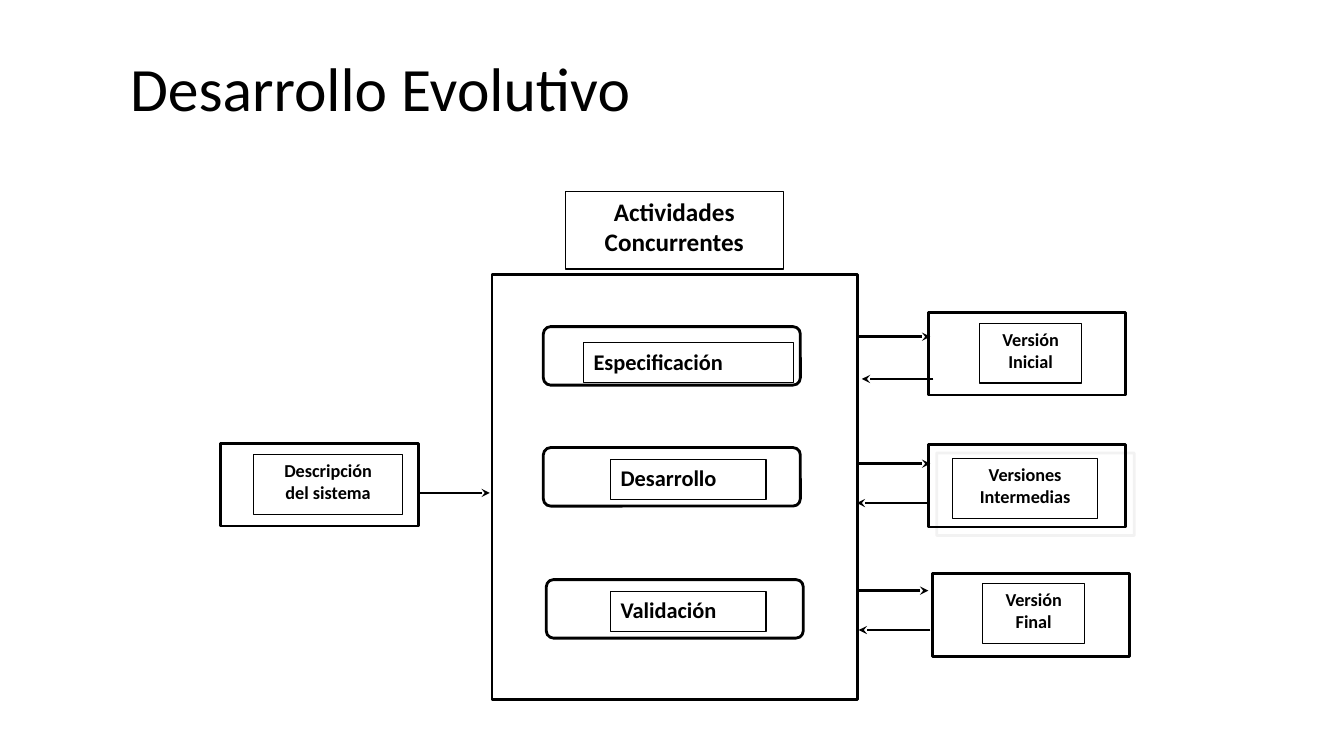
from dataclasses import dataclass

from lxml import etree
from pptx import Presentation
from pptx.dml.color import RGBColor
from pptx.enum.shapes import MSO_CONNECTOR, MSO_SHAPE
from pptx.enum.text import MSO_ANCHOR, MSO_AUTO_SIZE, PP_ALIGN
from pptx.oxml.ns import qn
from pptx.util import Pt

RECT, ROUNDED = MSO_SHAPE.RECTANGLE, MSO_SHAPE.ROUNDED_RECTANGLE
STRAIGHT = MSO_CONNECTOR.STRAIGHT
LEFT, CENTER = PP_ALIGN.LEFT, PP_ALIGN.CENTER
TOP, MIDDLE = MSO_ANCHOR.TOP, MSO_ANCHOR.MIDDLE
NO_FIT, GROW = MSO_AUTO_SIZE.NONE, MSO_AUTO_SIZE.SHAPE_TO_FIT_TEXT


@dataclass(frozen=True)
class Theme:
    font: str = "Calibri"
    ink: RGBColor = RGBColor(0, 0, 0)
    shadow: str = "E7E6E6"
    title: float = 44
    heading: float = 18
    activity: float = 16
    version: float = 13
    thin: float = 0.75
    thick: float = 2


@dataclass(frozen=True)
class Frame:
    left: float
    top: float
    width: float = 141.1
    height: float = 59
    shape: int = RECT
    shadow: bool = False


@dataclass(frozen=True)
class Label:
    lines: tuple[str, ...]
    left: float
    top: float
    width: float
    height: float
    size: float
    align: int = CENTER


@dataclass(frozen=True)
class Arrow:
    left: float
    y: float
    backward: bool = False
    length: float = 51.1


THEME = Theme()

# Boxes: system description, versions, activities and their container
ACTIVITY_SIZE = (183.6, 41.8, ROUNDED)
FRAMES = [
    Frame(157.7, 316.8),
    Frame(663.1, 223.2),
    Frame(663.1, 317.5, shadow=True),
    Frame(666, 409.7),
    Frame(351.4, 195.8, 261.4, 303.8),
    Frame(388.1, 233.3, *ACTIVITY_SIZE),
    Frame(388.1, 319.7, *ACTIVITY_SIZE),
    Frame(390.2, 414, *ACTIVITY_SIZE),
]
LABELS = [
    Label(("Descripción", "del sistema"), 181.4, 324.7, 105.9, 42.5, THEME.version),
    Label(("Versión", "Inicial"), 699.8, 231.1, 72.7, 42.5, THEME.version),
    Label(("Versiones", "Intermedias"), 680.4, 327.6, 103.7, 42.5, THEME.version),
    Label(("Versión", "Final"), 702, 416.9, 72.7, 42.5, THEME.version),
    Label(("Especificación",), 416.9, 244.8, 149.8, 28.8, THEME.activity, LEFT),
    Label(("Desarrollo",), 436.3, 328.3, 110.9, 28.8, THEME.activity, LEFT),
    Label(("Validación",), 436.3, 422.6, 110.9, 28.8, THEME.activity, LEFT),
    Label(("Actividades", "Concurrentes"), 403.9, 136.8, 155.5, 55.4, THEME.heading),
]
ARROWS = [
    Arrow(298.8, 352.1),
    Arrow(613.4, 240.5),
    Arrow(613.4, 331.2),
    Arrow(612, 421.9),
    Arrow(615.6, 270.7, backward=True),
    Arrow(612, 359.3, backward=True),
    Arrow(613.4, 450, backward=True),
]


def apply_format(target, values: dict) -> None:
    for attribute, value in values.items():
        setattr(target, attribute, value)


def write_lines(text_frame, lines: tuple[str, ...], size: float, align: int, bold: bool) -> None:
    text_frame.text = "\n".join(lines)
    for paragraph in text_frame.paragraphs:
        paragraph.alignment = align
        apply_format(paragraph.font, {"name": THEME.font, "size": Pt(size), "bold": bold})
        paragraph.font.color.rgb = THEME.ink


def draw_outline(slide, box: Frame | Label, preset: int, weight: float):
    outline = slide.shapes.add_shape(
        preset, Pt(box.left), Pt(box.top), Pt(box.width), Pt(box.height))
    outline.shadow.inherit = False
    outline.fill.background()
    outline.line.color.rgb = THEME.ink
    outline.line.width = Pt(weight)
    return outline


def draw_frame(slide, frame: Frame) -> None:
    outline = draw_outline(slide, frame, frame.shape, THEME.thick)
    if frame.shape == ROUNDED:
        outline.adjustments[0] = 0.125
    if frame.shadow:
        effects = outline._element.spPr.find(qn("a:effectLst"))
        shadow = etree.SubElement(effects, qn("a:outerShdw"), blurRad="0",
                                  dist=str(Pt(8.5)), dir="2700000",
                                  algn="ctr", rotWithShape="0")
        color = etree.SubElement(shadow, qn("a:srgbClr"), val=THEME.shadow)
        etree.SubElement(color, qn("a:alpha"), val="50000")


def draw_label(slide, label: Label) -> None:
    text_frame = draw_outline(slide, label, RECT, THEME.thin).text_frame
    apply_format(text_frame, {
        "margin_left": Pt(7.2), "margin_right": Pt(7.2),
        "margin_top": Pt(3.6), "margin_bottom": Pt(3.6),
        "word_wrap": False, "auto_size": GROW, "vertical_anchor": TOP,
    })
    write_lines(text_frame, label.lines, label.size, label.align, bold=True)


def draw_arrow(slide, arrow: Arrow) -> None:
    start, end = arrow.left, arrow.left + arrow.length
    if arrow.backward:
        start, end = end, start
    connector = slide.shapes.add_connector(
        STRAIGHT, Pt(start), Pt(arrow.y), Pt(end), Pt(arrow.y))
    connector.line.color.rgb = THEME.ink
    connector.line.width = Pt(THEME.thick)
    etree.SubElement(connector.line._get_or_add_ln(), qn("a:tailEnd"), type="stealth")
    etree.SubElement(connector._element.spPr, qn("a:effectLst"))


def main() -> None:
    prs = Presentation()
    prs.slide_width, prs.slide_height = Pt(960), Pt(540)
    slide = prs.slides.add_slide(prs.slide_layouts.get_by_name("Title Only"))

    # Title
    title = slide.shapes.title
    apply_format(title, {"left": Pt(85.7), "top": Pt(33.1),
                         "width": Pt(792), "height": Pt(64.8)})
    apply_format(title.text_frame, {"vertical_anchor": MIDDLE, "auto_size": NO_FIT})
    write_lines(title.text_frame, ("Desarrollo Evolutivo",), THEME.title, LEFT, bold=False)
    title.text_frame.paragraphs[0].line_spacing = 0.9

    # Diagram
    for frame in FRAMES:
        draw_frame(slide, frame)
    for label in LABELS:
        draw_label(slide, label)
    for arrow in ARROWS:
        draw_arrow(slide, arrow)

    prs.save("out.pptx")


if __name__ == "__main__":
    main()
